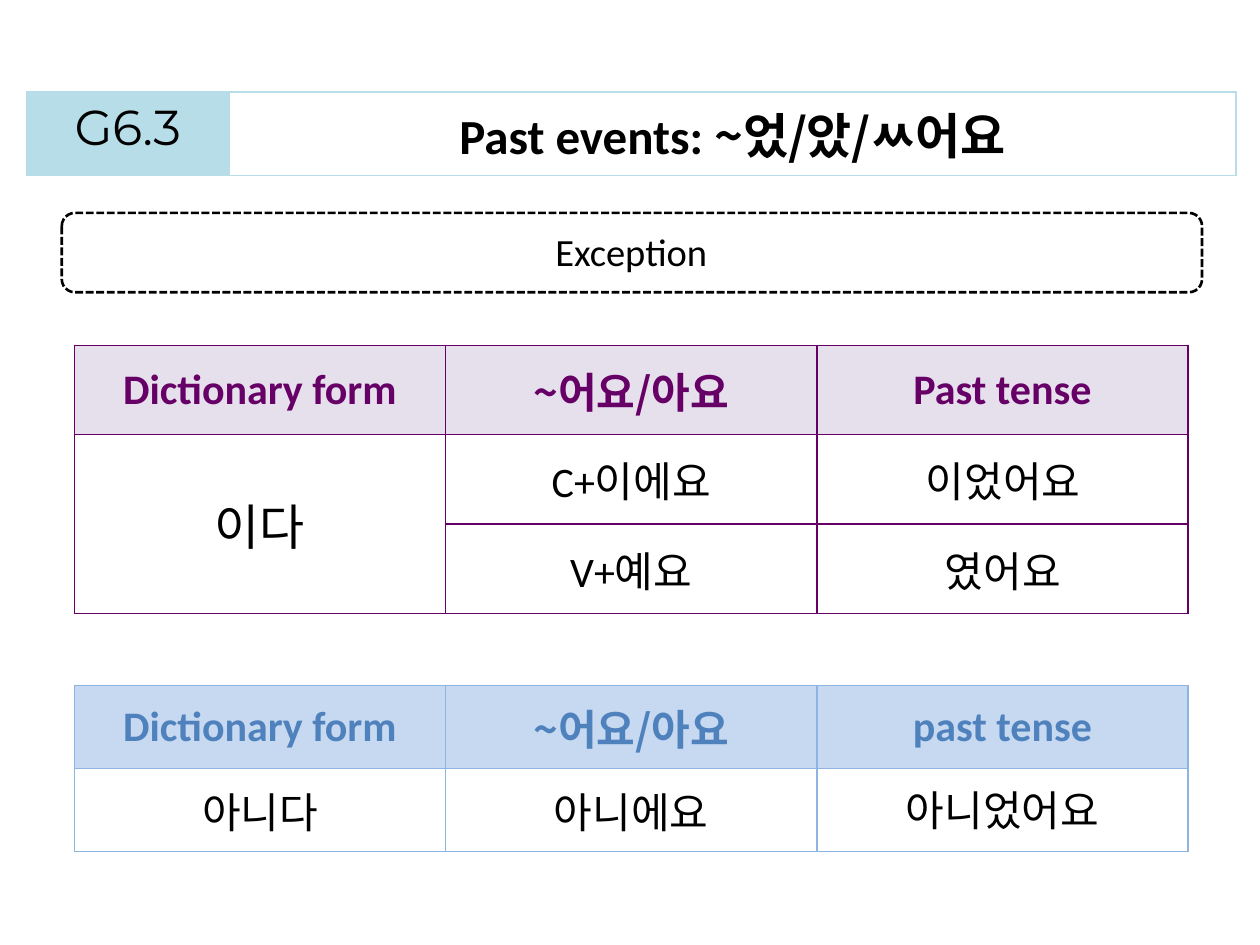
from lxml.etree import SubElement
from pptx import Presentation
from pptx.dml.color import RGBColor
from pptx.enum.dml import MSO_LINE
from pptx.enum.shapes import MSO_SHAPE
from pptx.enum.text import MSO_ANCHOR as Anchor, MSO_AUTO_SIZE as AutoSize, PP_ALIGN as Align
from pptx.oxml.ns import qn
from pptx.util import Inches, Pt

COLORS = {
    "black": "000000", "white": "FFFFFF", "aqua": "B7DEE8",
    "purple": "660066", "lilac": "E6E0EC",
    "blue": "4F81BD", "sky": "C6D9F1", "sky_line": "8EB4E3",
}
LATIN, KOREAN, DISPLAY = "Calibri", "Noto Sans CJK KR", "Montserrat"
LEFT, WIDTH = 0.59, 8.84  # content column shared by both tables


def rgb(name):
    return RGBColor.from_string(COLORS[name])


def write(paragraph, text, size, font=LATIN, color="black", bold=False):
    run = paragraph.add_run()
    run.text = text
    run.font.size, run.font.bold, run.font.name = Pt(size), bold, font
    run.font.color.rgb = rgb(color)
    SubElement(run._r.get_or_add_rPr(), qn("a:ea"), typeface=KOREAN)


def style_cell(cell, border, fill=None, anchor=Anchor.MIDDLE):
    cell.vertical_anchor = anchor
    properties = cell._tc.get_or_add_tcPr()
    for side in ("lnL", "lnR", "lnT", "lnB"):
        line = SubElement(properties, qn(f"a:{side}"), w=str(Pt(1)))
        solid = SubElement(line, qn("a:solidFill"))
        SubElement(solid, qn("a:srgbClr"), val=COLORS[border])
    if fill:
        cell.fill.solid()
        cell.fill.fore_color.rgb = rgb(fill)
    else:
        cell.fill.background()
    cell.text_frame.paragraphs[0].alignment = Align.CENTER


def add_grid(slide, box, rows, widths):
    """Adds a plain table whose columns have the given widths."""
    frame = slide.shapes.add_table(rows, len(widths), *map(Inches, box))
    table = frame.table
    table.first_row = table.horz_banding = False
    for column, width in zip(table.columns, widths):
        column.width = Inches(width)
    return table


def add_text(slide, box, text, size, font=LATIN, wrap=True):
    shape = slide.shapes.add_textbox(*map(Inches, box))
    frame = shape.text_frame
    frame.word_wrap = wrap
    frame.auto_size = AutoSize.SHAPE_TO_FIT_TEXT
    frame.paragraphs[0].alignment = Align.CENTER if wrap else Align.LEFT
    write(frame.paragraphs[0], text, size, font)


def add_heading(slide, box):
    """Lesson number beside the grammar point."""
    number_width = 1.61
    table = add_grid(slide, box, 1, [number_width, box[2] - number_width])
    number, topic = table.cell(0, 0), table.cell(0, 1)
    style_cell(number, "aqua", "aqua", Anchor.TOP)
    style_cell(topic, "aqua", anchor=Anchor.TOP)
    write(number.text_frame.paragraphs[0], "G6.3", 28, DISPLAY)
    paragraph = topic.text_frame.paragraphs[0]
    write(paragraph, "Past events: ", 28, bold=True)
    write(paragraph, "~었/았/ㅆ어요", 28, KOREAN, bold=True)


def add_exception(slide, box):
    """Label inside a dashed frame."""
    left, top, width, height = box
    add_text(slide, (LEFT, top + 0.07, WIDTH, 0.47), "Exception", 22)
    frame = slide.shapes.add_shape(MSO_SHAPE.ROUNDED_RECTANGLE, *map(Inches, box))
    frame.shadow.inherit = False
    frame.fill.background()
    frame.line.color.rgb = rgb("black")
    frame.line.width = Pt(1.5)
    frame.line.dash_style = MSO_LINE.SQUARE_DOT
    frame.line._ln.find(qn("a:prstDash")).set("val", "sysDash")


def add_forms(slide, box, tense, body, past_forms, border, ink, tint):
    """Verb table; body holds (text, size, font) cells, past forms lie over the last column."""
    left, top, width, height = box
    rows = len(body) + 1
    table = add_grid(slide, box, rows, [width / 3] * 3)
    for row in range(rows):
        for column in range(3):
            style_cell(table.cell(row, column), border, "white" if row else tint)

    headings = [("Dictionary form", LATIN), ("~어요/아요", KOREAN), (tense, LATIN)]
    for column, (text, font) in enumerate(headings):
        write(table.cell(0, column).text_frame.paragraphs[0], text, 24, font, ink, True)

    for row, entries in enumerate(body, 1):
        for column, entry in enumerate(entries):
            if entry:
                write(table.cell(row, column).text_frame.paragraphs[0], *entry)
    if rows > 2:
        table.cell(1, 0).merge(table.cell(rows - 1, 0))

    for text, text_left, text_top, text_width in past_forms:
        add_text(slide, (text_left, text_top, text_width, 0.5), text, 24, KOREAN, wrap=False)


def main():
    presentation = Presentation()
    presentation.slide_width, presentation.slide_height = Inches(10), Inches(7.5)
    slide = presentation.slides.add_slide(presentation.slide_layouts[6])

    add_heading(slide, (0.21, 0.73, 9.6, 0.55))
    add_exception(slide, (0.49, 1.69, 9.05, 0.63))
    # The copula: form depends on a final consonant (C) or vowel (V)
    add_forms(slide, (LEFT, 2.74, WIDTH, 2.13), "Past tense",
              [[("이다", 28, KOREAN), ("C+이에요", 24, LATIN)],
               [None, ("V+예요", 24, LATIN)]],
              [("이었어요", 7.25, 3.57, 1.47), ("였어요", 7.4, 4.28, 1.15)],
              "purple", "purple", "lilac")
    # The negative copula
    add_forms(slide, (LEFT, 5.44, WIDTH, 1.32), "past tense",
              [[("아니다", 24, KOREAN), ("아니에요", 24, KOREAN)]],
              [("아니었어요", 7.09, 6.18, 1.78)],
              "sky_line", "blue", "sky")

    presentation.save("out.pptx")


if __name__ == "__main__":
    main()
